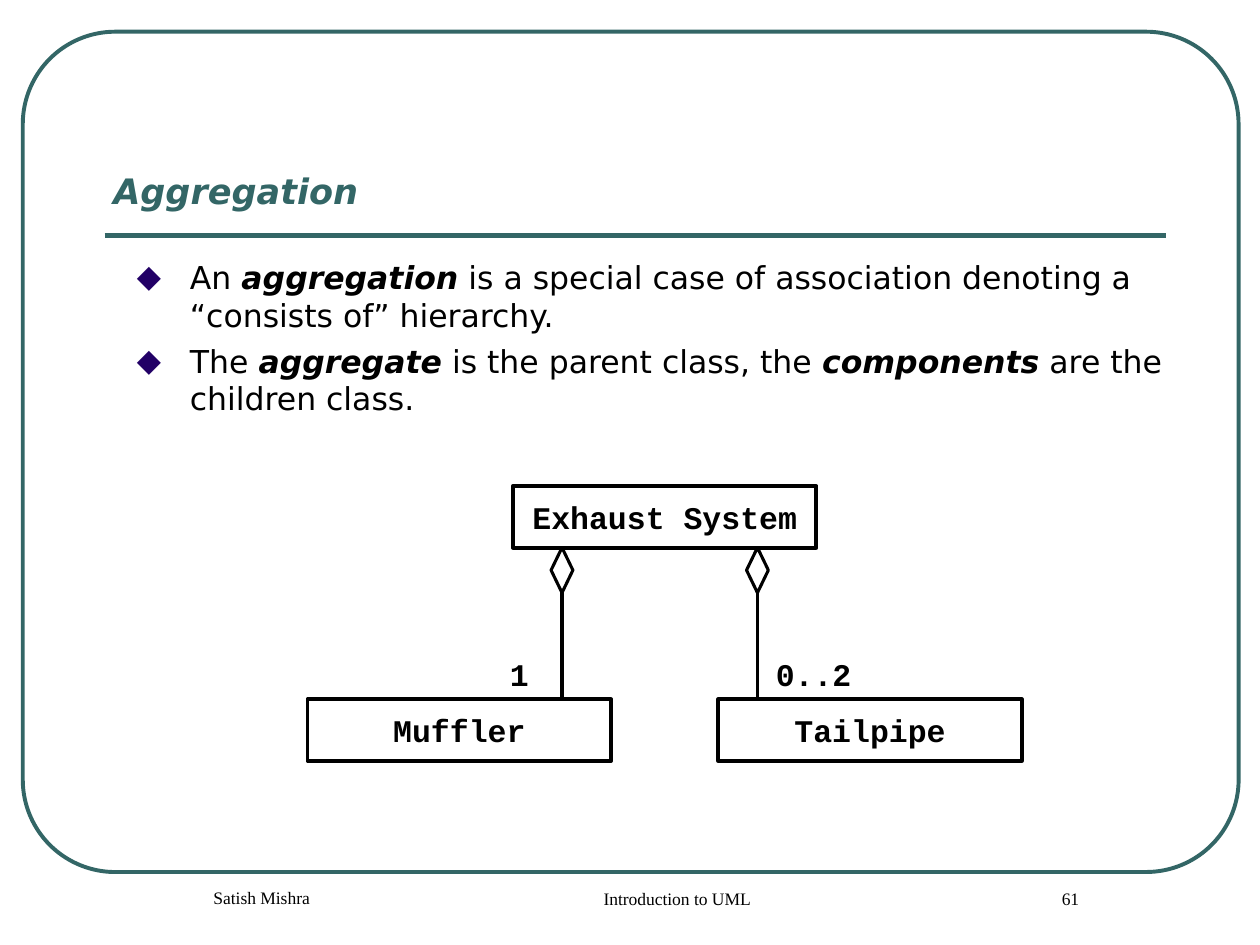
from lxml.etree import SubElement
from pptx import Presentation
from pptx.dml.color import RGBColor
from pptx.enum.shapes import MSO_CONNECTOR as Connector, MSO_SHAPE as Shape
from pptx.enum.text import MSO_ANCHOR as Anchor, MSO_AUTO_SIZE as AutoSize, PP_ALIGN as Align
from pptx.oxml.ns import qn
from pptx.util import Cm, Pt

TEAL, BLACK, WHITE, VIOLET = "336666", "000000", "FFFFFF", "220066"
SANS, MONO, SERIF = "DejaVu Sans", "Courier New", "Times New Roman"
CLASS_WIDTH, CLASS_HEIGHT = 6.12, 1.24
SYSTEM_TOP, PART_TOP = 9.8, 14.1
DIAMOND_WIDTH, DIAMOND_HEIGHT = 0.44, 0.91


def color(value):
    return RGBColor.from_string(value)


def style_font(font, name, size, tint=BLACK, bold=False, italic=False):
    font.name = name
    font.size = Pt(size)
    font.color.rgb = color(tint)
    font.bold = bold
    font.italic = italic


def style_outline(shape, tint, width):
    shape.line.color.rgb = color(tint)
    shape.line.width = Pt(width)


def add_outlined(slide, kind, left, top, width, height, tint):
    outlined = slide.shapes.add_shape(kind, Cm(left), Cm(top), Cm(width), Cm(height))
    outlined.shadow.inherit = False
    outlined.fill.background()
    style_outline(outlined, tint, 2.25)
    return outlined


def add_line(slide, start, end, tint, width):
    line = slide.shapes.add_connector(Connector.STRAIGHT, *map(Cm, start + end))
    style_outline(line, tint, width)
    SubElement(line._element.spPr, qn("a:effectLst"))


def add_label(slide, text, left, top, width, height):
    label = slide.shapes.add_textbox(Cm(left), Cm(top), Cm(width), Cm(height))
    label.text_frame.word_wrap = True
    label.text_frame.text = text
    return label.text_frame


def set_title(slide, text):
    title = slide.shapes.title
    title.left, title.top, title.width, title.height = Cm(2.03), Cm(3.18), Cm(21.03), Cm(1.22)
    frame = title.text_frame
    frame.text = text
    frame.auto_size = AutoSize.NONE
    frame.vertical_anchor = Anchor.BOTTOM
    frame.paragraphs[0].alignment = Align.LEFT
    style_font(frame.paragraphs[0].runs[0].font, SANS, 20, TEAL, bold=True, italic=True)


def add_bullet(paragraph):
    properties = paragraph._p.get_or_add_pPr()
    properties.set("marL", str(Cm(1.07)))
    properties.set("indent", str(-Cm(1.07)))
    bullet_color = SubElement(properties, qn("a:buClr"))
    SubElement(bullet_color, qn("a:srgbClr"), val=VIOLET)
    SubElement(properties, qn("a:buFont"), typeface=SANS)
    SubElement(properties, qn("a:buChar"), char="◆")


def add_definitions(slide, definitions):
    frame = add_label(slide, "", 2.51, 5.08, 22.89, 3.53)
    for index, phrases in enumerate(definitions):
        paragraph = frame.add_paragraph() if index else frame.paragraphs[0]
        add_bullet(paragraph)
        if index:
            paragraph.space_before = Pt(4.5)
        for position, phrase in enumerate(phrases):
            run = paragraph.add_run()
            run.text = phrase
            is_term = position % 2 == 1
            style_font(run.font, SANS, 18, bold=is_term, italic=is_term)


def add_class(slide, name, left, top):
    box = add_outlined(slide, Shape.RECTANGLE, left, top, CLASS_WIDTH, CLASS_HEIGHT, BLACK)
    frame = box.text_frame
    frame.word_wrap = False
    frame.vertical_anchor = Anchor.MIDDLE
    frame.text = name
    frame.paragraphs[0].alignment = Align.CENTER
    style_font(frame.paragraphs[0].runs[0].font, MONO, 18, bold=True)


def add_aggregation(slide, x):
    top = SYSTEM_TOP + CLASS_HEIGHT
    add_line(slide, (x, PART_TOP), (x, top), BLACK, 2.25)
    middle = top + DIAMOND_HEIGHT / 2
    builder = slide.shapes.build_freeform(Cm(x), Cm(top))
    builder.add_line_segments([
        (Cm(x + DIAMOND_WIDTH / 2), Cm(middle)),
        (Cm(x), Cm(top + DIAMOND_HEIGHT)),
        (Cm(x - DIAMOND_WIDTH / 2), Cm(middle)),
    ], close=True)
    diamond = builder.convert_to_shape()
    diamond.shadow.inherit = False
    diamond.fill.solid()
    diamond.fill.fore_color.rgb = color(WHITE)
    style_outline(diamond, BLACK, 1.75)


def add_multiplicity(slide, text, left, width):
    frame = add_label(slide, text, left, 13.08, width, 1.02)
    style_font(frame.paragraphs[0].runs[0].font, MONO, 18, bold=True)


def add_footer(slide, text, left, top, width):
    frame = add_label(slide, text, left, top, width, 1.27)
    frame.margin_left = Cm(0.86)
    frame.paragraphs[0].alignment = Align.CENTER
    style_font(frame.paragraphs[0].runs[0].font, SERIF, 10)


def main():
    deck = Presentation()
    deck.slide_width, deck.slide_height = Cm(25.4), Cm(19.05)
    slide = deck.slides.add_slide(deck.slide_layouts[5])

    frame = add_outlined(slide, Shape.ROUNDED_RECTANGLE, 0.46, 0.64, 24.51, 16.94, TEAL)
    frame.adjustments[0] = 0.11
    add_line(slide, (2.11, 4.75), (23.5, 4.75), TEAL, 3)
    set_title(slide, "Aggregation")
    add_definitions(slide, [
        ("An ", "aggregation",
         " is a special case of association denoting a “consists of” hierarchy."),
        ("The ", "aggregate", " is the parent class, the ", "components",
         " are the children class."),
    ])

    add_class(slide, "Exhaust System", 10.34, SYSTEM_TOP)
    add_class(slide, "Muffler", 6.2, PART_TOP)
    add_class(slide, "Tailpipe", 14.48, PART_TOP)
    for x in (11.33, 15.27):
        add_aggregation(slide, x)
    add_multiplicity(slide, "1", 10.03, 1.07)
    add_multiplicity(slide, "0..2", 15.39, 2.59)

    add_footer(slide, "Satish Mishra", 2.11, 17.75, 5.72)
    add_footer(slide, "Introduction to UML", 9.32, 17.78, 8.05)
    add_footer(slide, "61", 19.05, 17.78, 4.45)
    deck.save("out.pptx")


if __name__ == "__main__":
    main()
